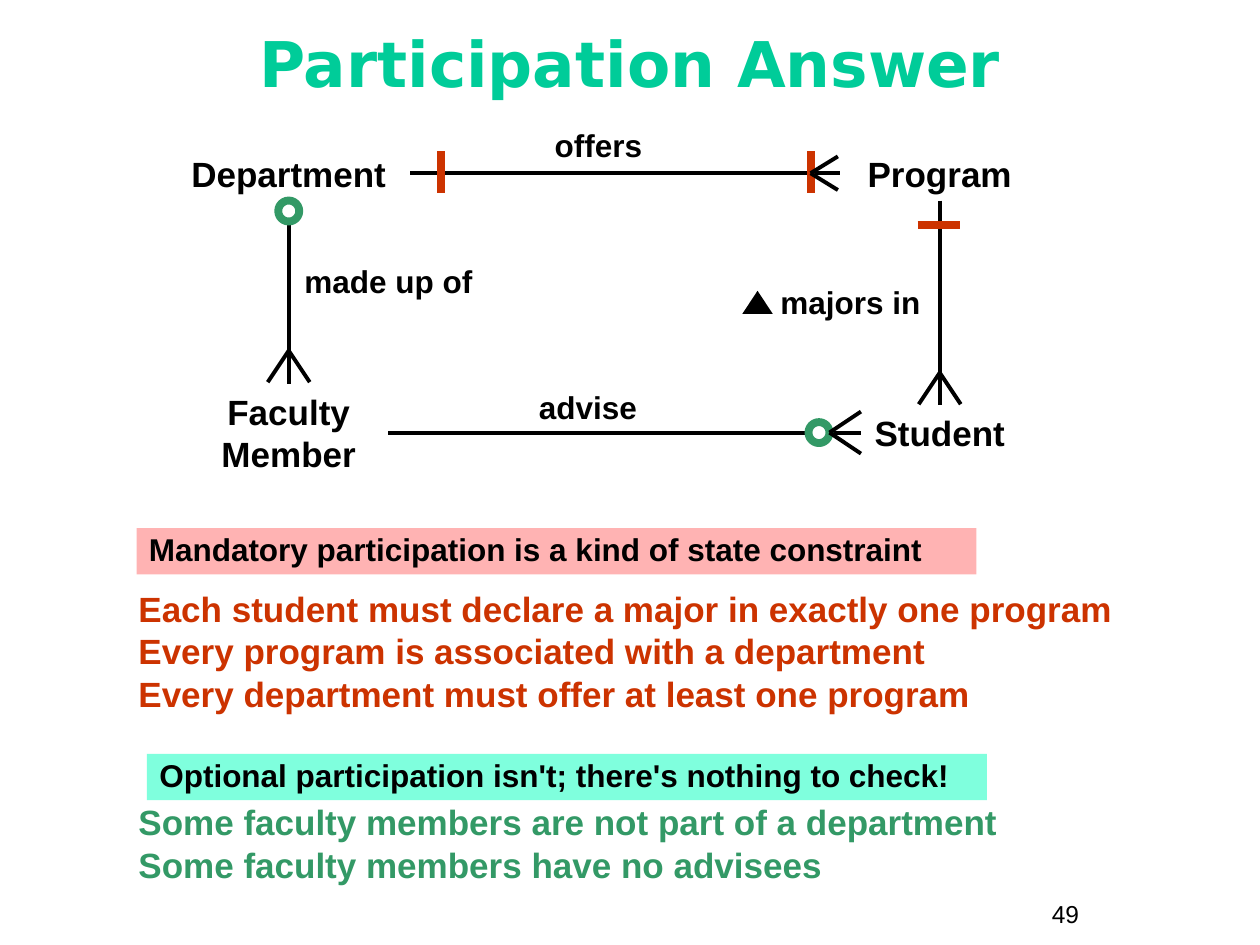
from pptx import Presentation
from pptx.dml.color import RGBColor
from pptx.enum.shapes import MSO_CONNECTOR, MSO_SHAPE
from pptx.enum.text import MSO_ANCHOR, PP_ALIGN
from pptx.oxml.ns import qn
from pptx.util import Inches, Pt

STRAIGHT = MSO_CONNECTOR.STRAIGHT
RECTANGLE, OVAL, TRIANGLE = MSO_SHAPE.RECTANGLE, MSO_SHAPE.OVAL, MSO_SHAPE.ISOSCELES_TRIANGLE
LEFT, CENTER = PP_ALIGN.LEFT, PP_ALIGN.CENTER
TOP, MIDDLE = MSO_ANCHOR.TOP, MSO_ANCHOR.MIDDLE
SIDE_TOP, SIDE_LEFT, SIDE_BOTTOM, SIDE_RIGHT = range(4)

THEME = {
    "title_font": "DejaVu Sans", "body_font": "Arial",
    "title": "00CC99", "ink": "000000", "mandatory": "CC3300", "optional": "339966",
    "mandatory_banner": "FFB3B3", "optional_banner": "7FFFDD",
    "title_size": 36, "entity_size": 20, "label_size": 18, "number_size": 14,
    "line": 2.25, "mark": 4.5,
}

# All places are in grid cells, twelve to the inch: 120 columns by 90 rows
COLUMNS, ROWS = 120, 90
CELL = Inches(1) / 12

TITLE = ("Participation Answer", (4, 1.4, 112, 9.1))
PAGE_NUMBER = ("49", (99, 85, 11, 4.1))
ENTITIES = {
    "Department": (16, 13.9, 23, 5.2),
    "Program": (80, 13.9, 19, 5.2),
    "Faculty\vMember": (18, 36.6, 19, 9.2),
    "Student": (82, 38.6, 15, 5.2),
}
RELATIONSHIPS = [  # label, left, top
    ("made up of", 27, 24.4),
    ("offers", 47, 11.4),
    ("majors in", 71, 26.4),
    ("advise", 46, 36.4),
]
LABEL_SIZE = (20, 4.8)
LINKS = [  # start and end: a grid point or an (entity, side) pair
    ((27.5, 21.4), ("Faculty\vMember", SIDE_TOP)),
    (("Program", SIDE_LEFT), ("Department", SIDE_RIGHT)),
    (("Program", SIDE_BOTTOM), ("Student", SIDE_TOP)),
    (("Faculty\vMember", SIDE_RIGHT), (76.7, 41.2)),
    ((79, 41.2), (82, 41.2)),
]
CROWS_FEET = [  # apex, reach across and down, half spread
    ((27.5, 33.4), (0, 3), 2),
    ((77.2, 16.5), (2.6, 0), 1.6),
    ((89.5, 35.5), (0, 3), 2),
    ((79, 41.2), (3, 0), 2),
]
MANDATORY_BARS = [  # centre, half length across and down
    ((77.2, 16.4), (0, 2)),
    ((42, 16.4), (0, 2)),
    ((89.4, 21.4), (2, 0)),
]
OPTIONAL_RINGS = [(78, 41.2), (27.5, 20.1)]
RING_SIZE = 2
DIRECTION_MARK = (70.7, 27.7, 2.9, 2.2)
BANNERS = [
    ("Mandatory participation is a kind of state constraint", "mandatory_banner", (13, 50.3, 80, 4.4)),
    ("Optional participation isn't; there's nothing to check!", "optional_banner", (14, 71.8, 80, 4.4)),
]
RULES = [
    (["Each student must declare a major in exactly one program",
      "Every program is associated with a department",
      "Every department must offer at least one program"], "mandatory", (12, 56, 99, 13)),
    (["Some faculty members are not part of a department",
      "Some faculty members have no advisees"], "optional", (12, 76.3, 99, 8.7)),
]


def cells(*values):
    return [round(value * CELL) for value in values]


def color(name):
    return RGBColor.from_string(THEME[name])


def write(shape, lines, size, ink="ink", font="body_font", bold=True,
          align=CENTER, anchor=TOP, spacing=None, gap=0):
    text_frame = shape.text_frame
    text_frame.word_wrap = True
    text_frame.vertical_anchor = anchor
    for index, line in enumerate(lines):
        paragraph = text_frame.add_paragraph() if index else text_frame.paragraphs[0]
        paragraph.text = line
        paragraph.alignment = align
        paragraph.line_spacing = spacing
        paragraph.space_before = Pt(gap if index else 0)
        for run in paragraph.runs:
            run.font.name = THEME[font]
            run.font.size = Pt(THEME[size])
            run.font.bold = bold
            run.font.color.rgb = color(ink)


def add_text(slide, box, lines, size, **style):
    shape = slide.shapes.add_textbox(*cells(*box))
    write(shape, lines, size, **style)
    return shape


def add_solid(slide, kind, box, fill):
    shape = slide.shapes.add_shape(kind, *cells(*box))
    shape.shadow.inherit = False
    shape.fill.solid()
    shape.fill.fore_color.rgb = color(fill)
    shape.line.fill.background()
    return shape


def add_line(slide, start=(0, 0), end=(0, 0), ink="ink", width="line"):
    connector = slide.shapes.add_connector(STRAIGHT, *cells(*start, *end))
    connector.line.color.rgb = color(ink)
    connector.line.width = Pt(THEME[width])
    properties = connector._element.spPr
    properties.append(properties.makeelement(qn("a:effectLst"), {}))
    return connector


def add_link(slide, entities, start, end):
    points = [(0, 0) if place[0] in entities else place for place in (start, end)]
    connector = add_line(slide, *points)
    for place, join in ((start, connector.begin_connect), (end, connector.end_connect)):
        if place[0] in entities:
            join(entities[place[0]], place[1])


def main():
    presentation = Presentation()
    presentation.slide_width, presentation.slide_height = cells(COLUMNS, ROWS)
    slide = presentation.slides.add_slide(presentation.slide_layouts[6])

    # Title and page number
    add_text(slide, TITLE[1], [TITLE[0]], "title_size", ink="title", font="title_font", anchor=MIDDLE)
    add_text(slide, PAGE_NUMBER[1], [PAGE_NUMBER[0]], "number_size", bold=False, align=LEFT)

    # Entities, relationships and their names
    entities = {name: add_text(slide, box, [name], "entity_size") for name, box in ENTITIES.items()}
    for start, end in LINKS:
        add_link(slide, entities, start, end)
    for label, left, top in RELATIONSHIPS:
        add_text(slide, (left, top, *LABEL_SIZE), [label], "label_size")
    add_solid(slide, TRIANGLE, DIRECTION_MARK, "ink")

    # Participation marks
    for (x, y), (across, down) in MANDATORY_BARS:
        add_line(slide, (x - across, y - down), (x + across, y + down), "mandatory", "mark")
    for x, y in OPTIONAL_RINGS:
        box = (x - RING_SIZE / 2, y - RING_SIZE / 2, RING_SIZE, RING_SIZE)
        ring = slide.shapes.add_shape(OVAL, *cells(*box))
        ring.shadow.inherit = False
        ring.fill.background()
        ring.line.color.rgb = color("optional")
        ring.line.width = Pt(THEME["mark"])

    # Crow's feet spread at right angles to their reach
    for (x, y), (across, down), spread in CROWS_FEET:
        for offset in (-spread, spread):
            toe = (x + across + (offset if down else 0), y + down + (offset if across else 0))
            add_line(slide, (x, y), toe)

    # Rules and banners
    for lines, ink, box in RULES:
        add_text(slide, box, lines, "entity_size", ink=ink, align=LEFT, spacing=0.85, gap=3.7)
    for text, fill, box in BANNERS:
        banner = add_solid(slide, RECTANGLE, box, fill)
        write(banner, [text], "label_size", align=LEFT, spacing=0.9)

    presentation.save("out.pptx")


if __name__ == "__main__":
    main()
